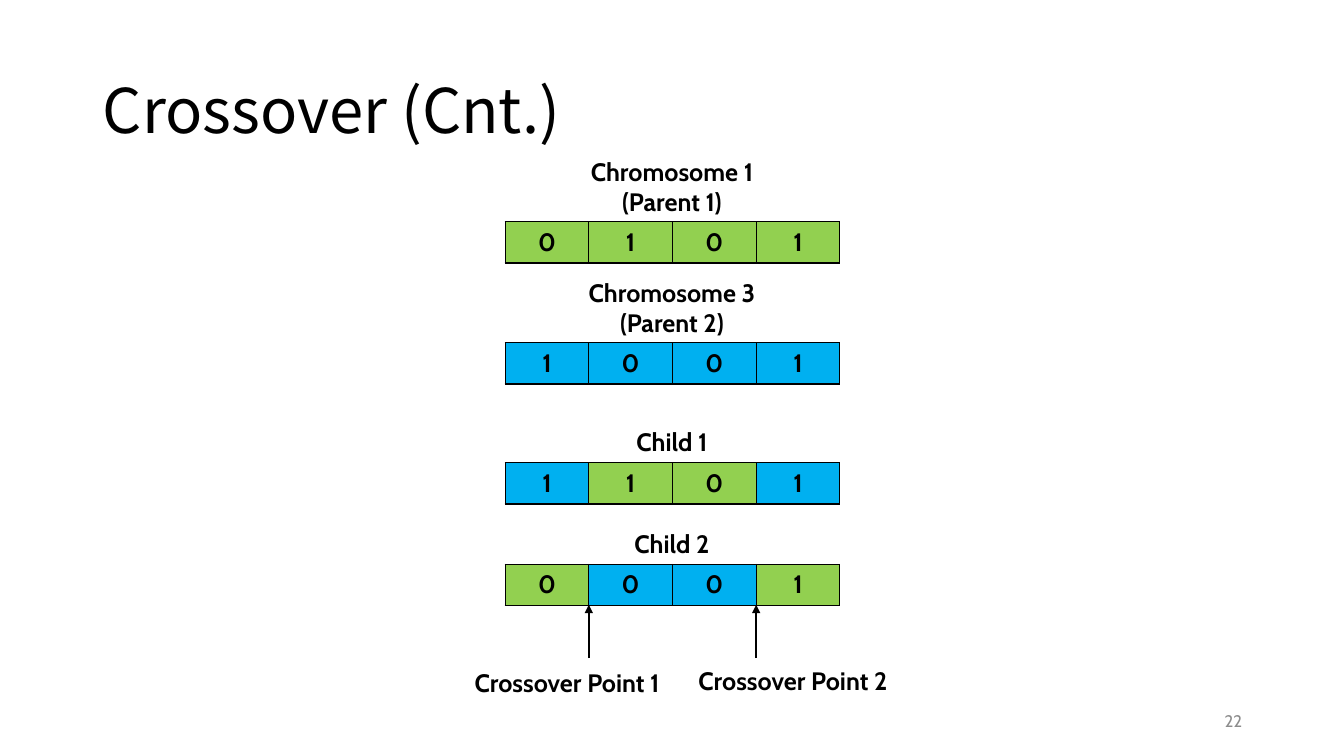
from dataclasses import dataclass

from lxml import etree
from pptx import Presentation
from pptx.dml.color import RGBColor
from pptx.enum.shapes import MSO_CONNECTOR
from pptx.enum.text import MSO_ANCHOR, PP_ALIGN
from pptx.oxml.ns import qn
from pptx.util import Inches, Pt

STRAIGHT = MSO_CONNECTOR.STRAIGHT
MIDDLE, TOP = MSO_ANCHOR.MIDDLE, MSO_ANCHOR.TOP
LEFT, CENTER, RIGHT = PP_ALIGN.LEFT, PP_ALIGN.CENTER, PP_ALIGN.RIGHT


@dataclass(frozen=True)
class Theme:
    title_font: str = "Noto Sans CJK JP"
    body_font: str = "Cabin"
    title_size: int = 44
    body_size: int = 18
    number_size: int = 12
    black: str = "000000"
    gray: str = "8C8C8C"
    green: str = "92D050"
    blue: str = "00B0F0"


THEME = Theme()
GENE_COLORS = {"G": THEME.green, "B": THEME.blue}

# Gene grid
GENES_LEFT, GENE_W, GENE_H = 5.01, 0.83, 0.41
LABEL_LEFT, LABEL_W = 5.25, 2.83

# Label, label top, gene top, gene values, parent colour of each gene
CHROMOSOMES = [
    ("Chromosome 1\n(Parent 1)", 1.5, 2.2, "0101", "GGGG"),
    ("Chromosome 3\n(Parent 2)", 2.7, 3.4, "1001", "BBBB"),
    ("Child 1", 4.18, 4.59, "1101", "BGGB"),
    ("Child 2", 5.19, 5.6, "0001", "GBBG"),
]

# Label, label left, label top, number of genes before the point
CROSSOVER_POINTS = [
    ("Crossover Point 1", 4.21, 6.57, 1),
    ("Crossover Point 2", 6.45, 6.55, 3),
]


def format_text(tf, size=THEME.body_size, font=THEME.body_font,
                color=THEME.black, bold=True, align=CENTER):
    for p in tf.paragraphs:
        p.alignment = align
        for r in p.runs:
            r.font.size = Pt(size)
            r.font.name = font
            r.font.bold = bold
            r.font.color.rgb = RGBColor.from_string(color)


def add_title(s, text):
    title = s.shapes.title
    title.left, title.top = Inches(0.92), Inches(0.4)
    title.width, title.height = Inches(11.5), Inches(1.45)
    tf = title.text_frame
    tf.text = text
    tf.vertical_anchor = MIDDLE
    tf.paragraphs[0].line_spacing = 0.9
    format_text(tf, THEME.title_size, THEME.title_font, bold=False, align=LEFT)


def add_text(s, text, left, top, width, height, anchor=TOP, **style):
    sp = s.shapes.add_textbox(Inches(left), Inches(top), Inches(width), Inches(height))
    tf = sp.text_frame
    tf.word_wrap = True
    tf.vertical_anchor = anchor
    tf.text = text
    format_text(tf, **style)


def add_label(s, text, left, top):
    height = 0.4 + 0.31 * text.count("\n")
    add_text(s, text, left, top, LABEL_W, height)


def add_cell_borders(cell):
    tc_pr = cell._tc.get_or_add_tcPr()
    for side in ("lnL", "lnR", "lnT", "lnB"):
        ln = etree.SubElement(tc_pr, qn(f"a:{side}"), w=str(Pt(1)))
        fill = etree.SubElement(ln, qn("a:solidFill"))
        etree.SubElement(fill, qn("a:srgbClr"), val=THEME.black)


def add_genes(s, top, values, parents):
    frame = s.shapes.add_table(1, len(values), Inches(GENES_LEFT), Inches(top),
                               Inches(GENE_W * len(values)), Inches(GENE_H))
    for cell, value, parent in zip(frame.table.iter_cells(), values, parents):
        cell.text = value
        format_text(cell.text_frame)
        add_cell_borders(cell)
        cell.fill.solid()
        cell.fill.fore_color.rgb = RGBColor.from_string(GENE_COLORS[parent])


def add_arrow(s, x, start_y, end_y):
    line = s.shapes.add_connector(STRAIGHT, Inches(x), Inches(start_y),
                                  Inches(x), Inches(end_y))
    line.line.color.rgb = RGBColor.from_string(THEME.black)
    line.line.width = Pt(1.5)
    etree.SubElement(line.line._get_or_add_ln(), qn("a:tailEnd"), type="triangle")
    etree.SubElement(line._element.spPr, qn("a:effectLst"))


def main():
    prs = Presentation()
    prs.slide_width, prs.slide_height = Inches(13.33), Inches(7.5)
    s = prs.slides.add_slide(prs.slide_layouts[5])

    add_title(s, "Crossover (Cnt.)")

    # Parents and children
    for label, label_top, genes_top, values, parents in CHROMOSOMES:
        add_genes(s, genes_top, values, parents)
        add_label(s, label, LABEL_LEFT, label_top)

    # Crossover points under the last child
    for label, left, top, genes_before in CROSSOVER_POINTS:
        add_arrow(s, GENES_LEFT + GENE_W * genes_before, 6.53, 6)
        add_label(s, label, left, top)

    # Slide number
    add_text(s, "22", 9.42, 6.95, 3, 0.4, anchor=MIDDLE, size=THEME.number_size,
             color=THEME.gray, bold=False, align=RIGHT)

    prs.save("out.pptx")


if __name__ == "__main__":
    main()
